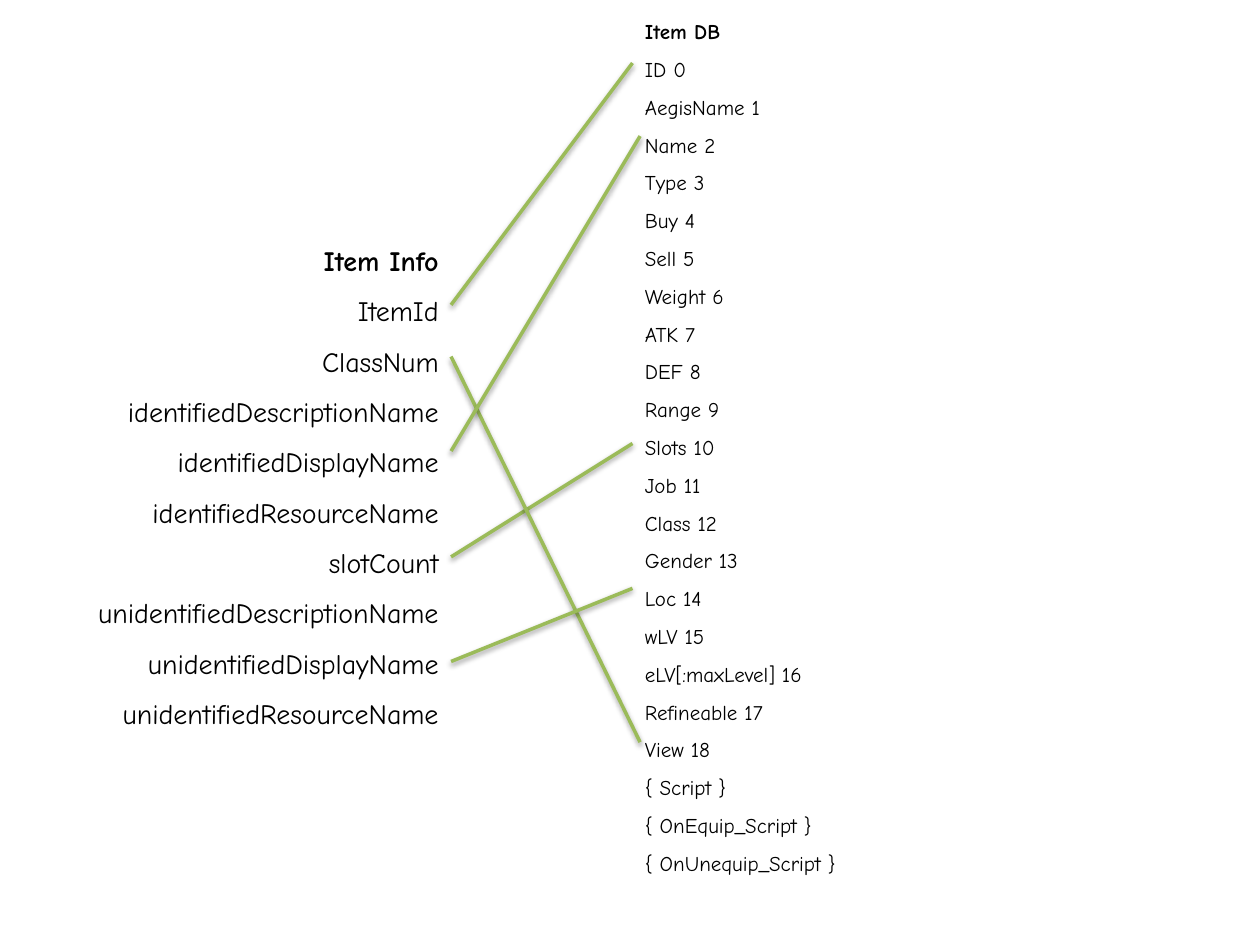
import lxml.etree
import pptx
import pptx.dml.color
import pptx.enum.shapes
import pptx.enum.text
import pptx.oxml
import pptx.oxml.ns
import pptx.util

Inches = pptx.util.Inches
Align = pptx.enum.text.PP_ALIGN

INFO = ["Item Info", "ItemId", "ClassNum", "identifiedDescriptionName",
        "identifiedDisplayName", "identifiedResourceName", "slotCount",
        "unidentifiedDescriptionName", "unidentifiedDisplayName",
        "unidentifiedResourceName"]
FIELDS = ["ID", "AegisName", "Name", "Type", "Buy", "Sell", "Weight", "ATK",
          "DEF", "Range", "Slots", "Job", "Class", "Gender", "Loc", "wLV",
          "eLV[:maxLevel]", "Refineable", "View"]
SCRIPTS = ["Script", "OnEquip_Script", "OnUnequip_Script"]

# Each link: x and y at the database field, y at the info field
LINKS = [(5.02, 0.5, 2.42), (5.02, 3.52, 4.42), (5.08, 5.89, 2.83),
         (5.02, 4.67, 5.25), (5.08, 1.08, 3.58)]
INFO_EDGE = 3.58

SHADOW = (
    f'<a:effectLst {pptx.oxml.ns.nsdecls("a")}>'
    '<a:outerShdw blurRad="40000" dist="20000" dir="5400000" rotWithShape="0">'
    '<a:srgbClr val="000000"><a:alpha val="38000"/></a:srgbClr>'
    '</a:outerShdw></a:effectLst>')


def color(code):
    """Turn a hex string into a colour."""
    return pptx.dml.color.RGBColor.from_string(code)


class Page:
    """Holds the style and the current slide."""
    font = "Comic Neue"
    ink = "000000"
    green = "9BBB59"

    def __init__(self, slide):
        """Keep the slide to draw on."""
        self.slide = slide

    def list(self, lines, left, top, width, height, size, align):
        """Add a list of lines with a bold heading."""
        box = self.slide.shapes.add_textbox(
            Inches(left), Inches(top), Inches(width), Inches(height))
        frame = box.text_frame
        frame.word_wrap = True
        frame.auto_size = pptx.enum.text.MSO_AUTO_SIZE.SHAPE_TO_FIT_TEXT
        frame.text = "\n".join(lines)
        for row, para in enumerate(frame.paragraphs):
            para.alignment = align
            para.line_spacing = 1.5
            for run in para.runs:
                run.font.name = self.font
                run.font.size = pptx.util.Pt(size)
                run.font.bold = row == 0
                run.font.color.rgb = color(self.ink)

    def link(self, x1, y1, x2, y2):
        """Add a green line with a soft shadow."""
        line = self.slide.shapes.add_connector(
            pptx.enum.shapes.MSO_CONNECTOR.STRAIGHT,
            Inches(x1), Inches(y1), Inches(x2), Inches(y2))
        line.line.color.rgb = color(self.green)
        line.line.width = pptx.util.Pt(2)
        line._element.spPr.append(pptx.oxml.parse_xml(SHADOW))


def main():
    """Build the slide and save it."""
    deck = pptx.Presentation()
    deck.slide_width, deck.slide_height = Inches(10), Inches(7.5)
    page = Page(deck.slides.add_slide(deck.slide_layouts[6]))

    fields = [f"{name} {index}" for index, name in enumerate(FIELDS)]
    scripts = [f"{{ {name} }}" for name in SCRIPTS]
    page.list(INFO, 0, 1.75, INFO_EDGE, 4.14, 16, Align.RIGHT)
    page.list(["Item DB"] + fields + scripts, 5.02, 0, 5, 7.03, 12, Align.LEFT)
    for x, y, end in LINKS:
        page.link(x, y, INFO_EDGE, end)
    deck.save("out.pptx")


main()
